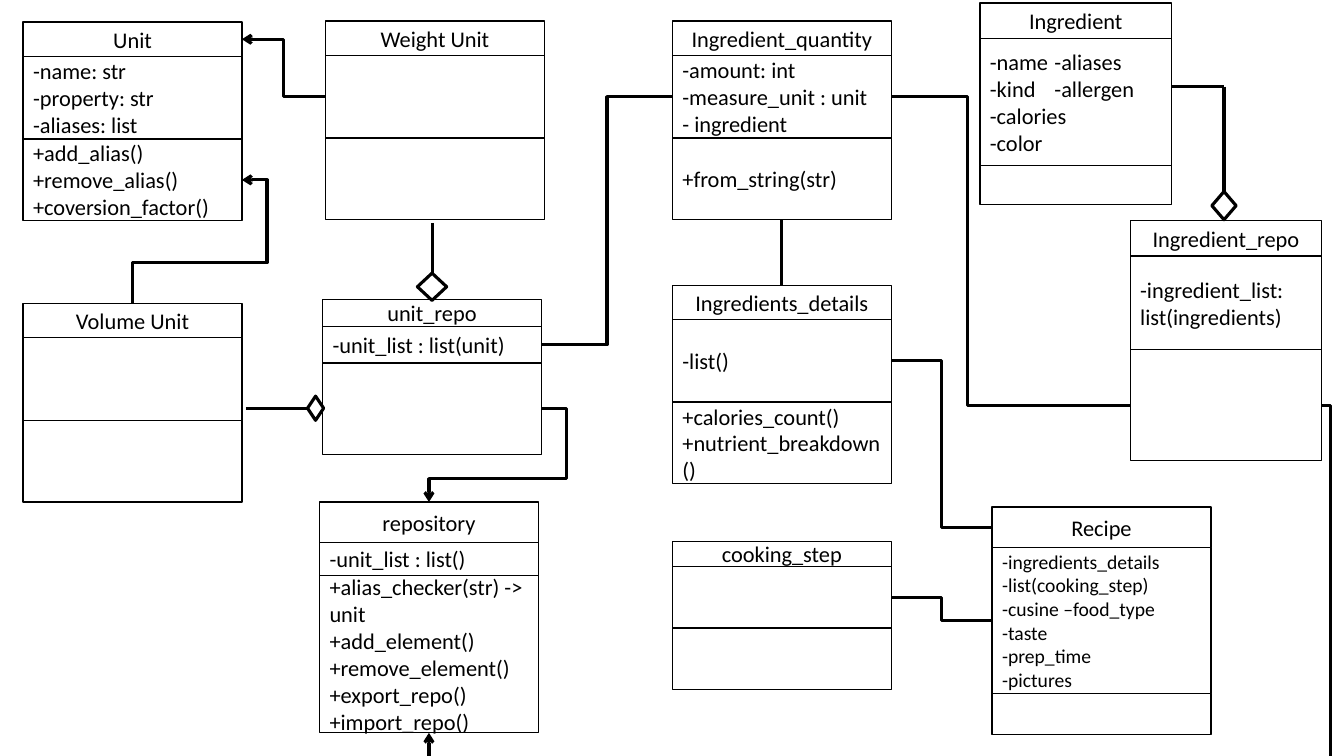
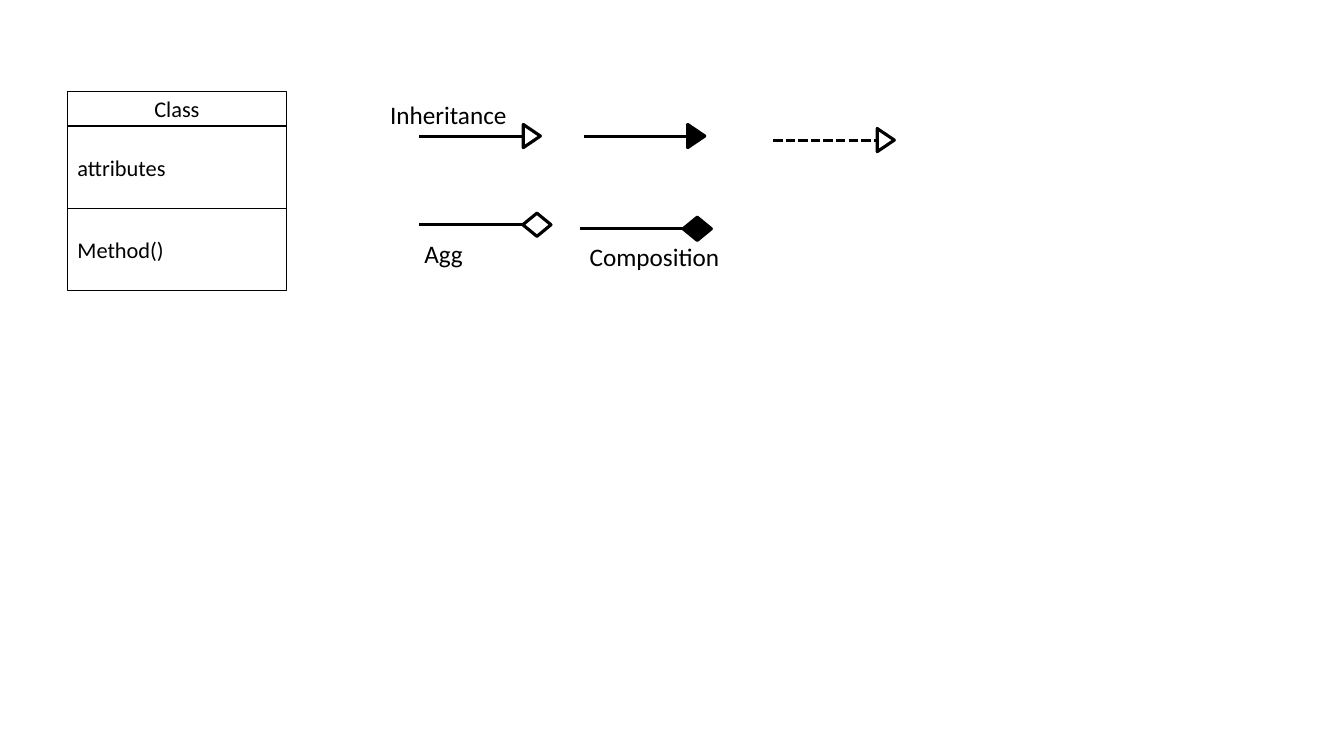
from lxml import etree
from pptx import Presentation
from pptx.dml.color import RGBColor
from pptx.enum.dml import MSO_LINE
from pptx.enum.shapes import MSO_CONNECTOR as LINK, MSO_SHAPE as SHAPE
from pptx.enum.text import MSO_ANCHOR as ANCHOR, MSO_AUTO_SIZE as FIT, PP_ALIGN as ALIGN
from pptx.oxml.ns import qn
from pptx.util import Inches, Pt

FONT, BLACK = "Calibri", "000000"
BOX_LINE, LINK_LINE = 1, 2.25
TITLE, ATTRS, METHODS = 0, 1, 2
TOP, LEFT, BOTTOM, RIGHT = 0, 1, 2, 3
USUAL = (0.34, 0.82, 0.81)
DIAMOND, TRIANGLE = SHAPE.FLOWCHART_DECISION, SHAPE.ISOSCELES_TRIANGLE

# Classes: name, left, top, width, row heights, attributes, methods
CLASSES = [
    ("Unit", 0.23, 0.22, 2.17, USUAL,
     ["-name: str", "-property: str", "-aliases: list"],
     ["+add_alias()", "+remove_alias()", "+coversion_factor()"]),
    ("Weight Unit", 3.23, 0.21, 2.17, USUAL, [], []),
    ("Volume Unit", 0.23, 3.01, 2.17, USUAL, [], []),
    ("unit_repo", 3.2, 2.97, 2.17, (0.27, 0.36, 0.91), ["-unit_list : list(unit)"], []),
    ("Ingredient_quantity", 6.67, 0.21, 2.17, USUAL,
     ["-amount: int", "-measure_unit : unit", "- ingredient"], ["+from_string(str)"]),
    ("Ingredient_repo", 11.21, 2.19, 1.9, (0.35, 0.93, 1.1),
     ["-ingredient_list: list(ingredients)"], []),
    ("Ingredients_details", 6.67, 2.83, 2.17, USUAL,
     ["-list()"], ["+calories_count()", "+nutrient_breakdown()"]),
    ("cooking_step", 6.67, 5.37, 2.17, (0.25, 0.61, 0.61), [], []),
    ("Recipe", 9.84, 5.03, 2.17, (0.4, 1.45, 0.41),
     ["-ingredients_details", "-list(cooking_step)", "-cusine –food_type",
      "-taste", "-prep_time", "-pictures"], []),
    ("Ingredient", 9.72, 0.03, 1.9, (0.35, 1.26, 0.39),
     ["-name\t-aliases", "-kind\t-allergen", "-calories", "-color"], []),
    ("repository", 3.17, 4.98, 2.17, (0.4, 0.33, 1.56), ["-unit_list : list()"],
     ["+alias_checker(str) -> unit", "+add_element()", "+remove_element()",
      "+export_repo()", "+import_repo()"]),
]
ATTRIBUTE_FORMAT = {"Recipe": {"size": 14}, "Ingredient": {"tab": 0.64}}

# Relations: start (class, row, side), end, bend positions, arrowhead
RELATIONS = [
    (("Weight Unit", ATTRS, LEFT), ("Unit", TITLE, RIGHT), (0.5,), "tailEnd"),
    (("Unit", METHODS, RIGHT), ("Volume Unit", TITLE, TOP), (-0.23, 0.67), "headEnd"),
    (("unit_repo", ATTRS, RIGHT), ("Ingredient_quantity", ATTRS, LEFT), (0.5,), None),
    (("Ingredient_quantity", METHODS, BOTTOM), ("Ingredients_details", TITLE, TOP), (), None),
    (("Ingredient_repo", METHODS, LEFT), ("Ingredient_quantity", ATTRS, RIGHT), (0.68,), None),
    (("cooking_step", ATTRS, RIGHT), ("Recipe", ATTRS, LEFT), (0.5,), None),
    (("Recipe", TITLE, LEFT), ("Ingredients_details", ATTRS, RIGHT), (0.5,), None),
    (("unit_repo", METHODS, RIGHT), ("repository", TITLE, TOP), (-0.22, 0.75), "tailEnd"),
    (("Ingredient_repo", METHODS, RIGHT), ("repository", METHODS, BOTTOM),
     (-0.01, 1.08), "tailEnd"),
]

# Aggregations: line points, then diamond left, top, width, height, rotation
AGGREGATIONS = [
    ([(4.29, 2.21), (4.29, 2.71)], (4.14, 2.71, 0.29, 0.27, 180)),
    ([(2.44, 4.05), (3.05, 4.05)], (3.01, 3.97, 0.24, 0.16, 90)),
    ([(11.62, 0.86), (12.14, 0.86), (12.14, 1.9)], (12.02, 1.9, 0.24, 0.28, 180)),
]

# Legend: class sample, symbols (left, middle, symbol, filled, dashed), labels
SAMPLE = ("Class", 0.67, 0.91, 2.17, USUAL, ["attributes"], ["Method()"])
SYMBOLS = [
    (4.16, 1.35, TRIANGLE, False, False),
    (5.79, 1.35, TRIANGLE, True, False),
    (7.67, 1.39, TRIANGLE, False, True),
    (4.16, 2.23, DIAMOND, False, False),
    (5.75, 2.27, DIAMOND, True, False),
]
SYMBOL_LINE = 1.03
SYMBOL_SIZE = {TRIANGLE: (1.0, 0.23, 0.17), DIAMOND: (1.05, 0.23, 0.28)}
LABELS = [("Inheritance", 3.77, 0.94, 1.37), ("Agg", 4.11, 2.32, 0.59),
          ("Composition", 5.75, 2.34, 1.5)]


def colour(value):
    return RGBColor.from_string(value)


def write(shape, lines, size=16, align=ALIGN.LEFT, anchor=ANCHOR.MIDDLE, wrap=True, tab=None):
    frame = shape.text_frame
    frame.word_wrap, frame.vertical_anchor = wrap, anchor
    for number, line in enumerate(lines):
        paragraph = frame.add_paragraph() if number else frame.paragraphs[0]
        paragraph.alignment = align
        run = paragraph.add_run()
        run.text = line
        run.font.name, run.font.size = FONT, Pt(size)
        run.font.color.rgb = colour(BLACK)
        if tab and "\t" in line:
            stops = etree.SubElement(paragraph._p.get_or_add_pPr(), qn("a:tabLst"))
            etree.SubElement(stops, qn("a:tab"), pos=str(Inches(tab)), algn="l")


def add_outline(shapes, kind, left, top, width, height, rotation=0,
                line=LINK_LINE, filled=False):
    shape = shapes.add_shape(kind, Inches(left), Inches(top), Inches(width), Inches(height))
    shape.shadow.inherit = False
    shape.rotation = rotation
    if filled:
        shape.fill.solid()
        shape.fill.fore_color.rgb = colour(BLACK)
    else:
        shape.fill.background()
    shape.line.color.rgb = colour(BLACK)
    shape.line.width = Pt(line)
    return shape


def add_class(slide, name, left, top, width, heights, attributes, methods):
    shapes = slide.shapes.add_group_shape().shapes
    formats = ({"align": ALIGN.CENTER}, ATTRIBUTE_FORMAT.get(name, {}), {})
    rows = []
    for height, lines, style in zip(heights, ([name], attributes, methods), formats):
        row = add_outline(shapes, SHAPE.RECTANGLE, left, top, width, height, line=BOX_LINE)
        write(row, lines, **style)
        rows.append(row)
        top += height
    return rows


def finish_link(link, arrow=None, dashed=False):
    link.line.color.rgb = colour(BLACK)
    link.line.width = Pt(LINK_LINE)
    if dashed:
        link.line.dash_style = MSO_LINE.SQUARE_DOT
    properties = link._element.spPr
    if arrow:
        etree.SubElement(properties.find(qn("a:ln")), qn("a:" + arrow), type="arrow")
    etree.SubElement(properties, qn("a:effectLst"))


def add_line(shapes, start, end, dashed=False):
    link = shapes.add_connector(LINK.STRAIGHT, *(Inches(v) for v in (*start, *end)))
    finish_link(link, dashed=dashed)


def add_relation(slide, rows, start, end, bends, arrow):
    link = slide.shapes.add_connector(LINK.ELBOW if bends else LINK.STRAIGHT, 0, 0, 0, 0)
    link.begin_connect(rows[start[0]][start[1]], start[2])
    link.end_connect(rows[end[0]][end[1]], end[2])
    if bends:
        geometry = link._element.spPr.find(qn("a:prstGeom"))
        geometry.set("prst", f"bentConnector{len(bends) + 2}")
        guides = geometry.find(qn("a:avLst"))
        for number, bend in enumerate(bends, 1):
            etree.SubElement(guides, qn("a:gd"), name=f"adj{number}",
                             fmla=f"val {round(bend * 100000)}")
    finish_link(link, arrow)


def build_diagram(slide):
    rows = {entry[0]: add_class(slide, *entry) for entry in CLASSES}
    for relation in RELATIONS:
        add_relation(slide, rows, *relation)
    for points, diamond in AGGREGATIONS:
        shapes = slide.shapes.add_group_shape().shapes
        for start, end in zip(points, points[1:]):
            add_line(shapes, start, end)
        add_outline(shapes, DIAMOND, *diamond)


def build_legend(slide):
    add_class(slide, *SAMPLE)
    for left, middle, kind, filled, dashed in SYMBOLS:
        shapes = slide.shapes.add_group_shape().shapes
        offset, width, height = SYMBOL_SIZE[kind]
        add_line(shapes, (left, middle), (left + SYMBOL_LINE, middle), dashed)
        add_outline(shapes, kind, left + offset, middle - height / 2, width, height,
                    rotation=90, filled=filled)
    for text, left, top, width in LABELS:
        label = slide.shapes.add_textbox(Inches(left), Inches(top), Inches(width), Inches(0.4))
        write(label, [text], size=18, anchor=ANCHOR.TOP, wrap=False)
        label.text_frame.auto_size = FIT.SHAPE_TO_FIT_TEXT


def main():
    deck = Presentation()
    deck.slide_width, deck.slide_height = Inches(13.33), Inches(7.5)
    blank = deck.slide_layouts[6]
    for build in (build_diagram, build_legend):
        build(deck.slides.add_slide(blank))
    deck.save("out.pptx")


if __name__ == "__main__":
    main()
